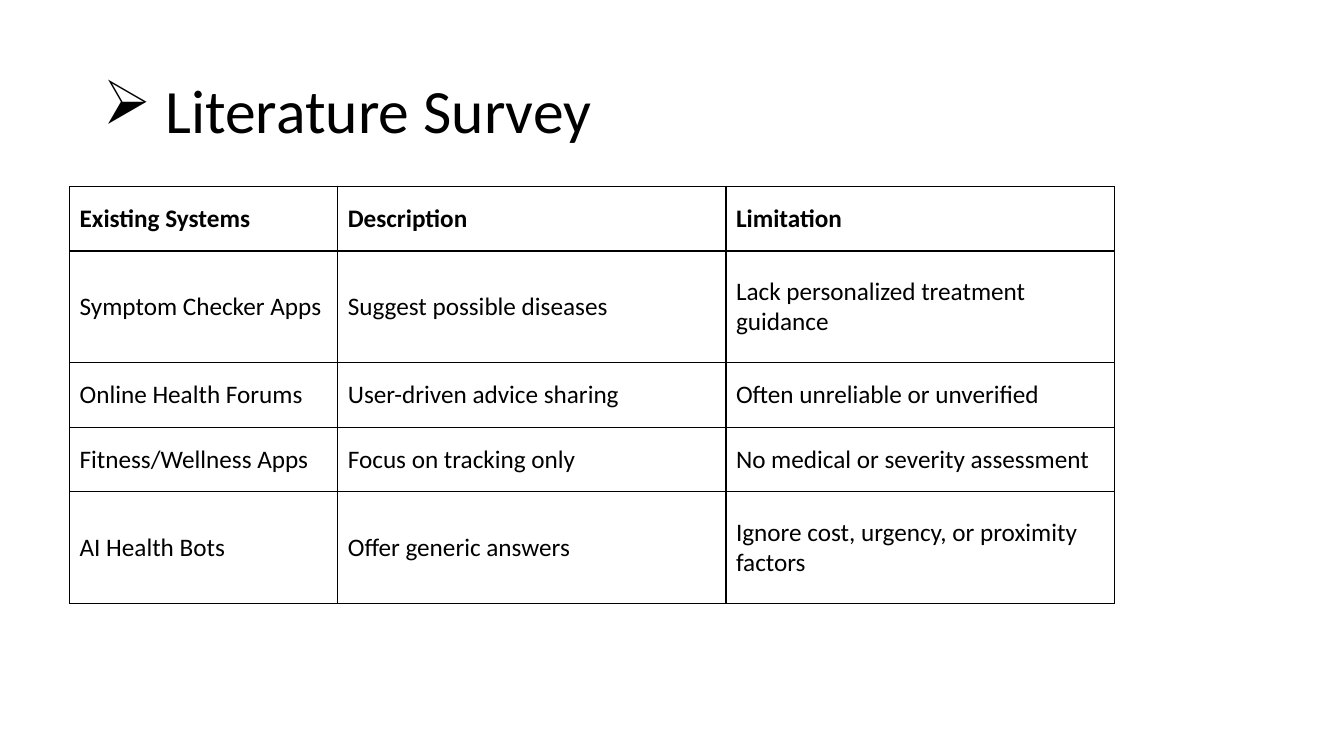
import pptx
import pptx.util
import pptx.dml.color
import pptx.enum.text
import pptx.oxml
import pptx.oxml.ns

Inches, Pt = pptx.util.Inches, pptx.util.Pt
MIDDLE = pptx.enum.text.MSO_ANCHOR.MIDDLE
LEFT = pptx.enum.text.PP_ALIGN.LEFT
BLACK = pptx.dml.color.RGBColor(0, 0, 0)

# Content
TITLE = "Literature Survey"
ROWS = [
    ("Existing Systems", "Description", "Limitation"),
    ("Symptom Checker Apps", "Suggest possible diseases", "Lack personalized treatment guidance"),
    ("Online Health Forums", "User-driven advice sharing", "Often unreliable or unverified"),
    ("Fitness/Wellness Apps", "Focus on tracking only", "No medical or severity assessment"),
    ("AI Health Bots", "Offer generic answers", "Ignore cost, urgency, or proximity factors"),
]
COL_WIDTHS = [2.66, 3.85, 3.85]
ROW_HEIGHTS = [0.64, 1.11, 0.64, 0.64, 1.11]
TITLE_FORMAT = {"name": "Calibri", "size": Pt(44), "bold": False}
CELL_FORMAT = {"name": "Calibri", "size": Pt(18)}


def write(tf, text, **fmt):
    """Put one left-aligned black paragraph in a text frame."""
    p = tf.paragraphs[0]
    p.alignment = LEFT
    r = p.add_run()
    r.text = text
    for key, value in fmt.items():
        setattr(r.font, key, value)
    r.font.color.rgb = BLACK
    return p


def add_borders(cell):
    """Draw a 1 pt line on all four sides of a cell."""
    tcPr = cell._tc.get_or_add_tcPr()
    for i, side in enumerate("LRTB"):
        tcPr.insert(i, pptx.oxml.parse_xml(
            f'<a:ln{side} {pptx.oxml.ns.nsdecls("a")} w="{Pt(1)}"><a:solidFill>'
            f'<a:srgbClr val="{BLACK}"/></a:solidFill></a:ln{side}>'))


prs = pptx.Presentation()
prs.slide_width, prs.slide_height = Inches(13.33), Inches(7.5)
s = prs.slides.add_slide(prs.slide_layouts[5])

# Title with arrow bullet
title = s.shapes.title
title.left, title.top, title.width, title.height = map(Inches, (0.92, 0.4, 11.5, 1.45))
title.text_frame.vertical_anchor = MIDDLE
p = write(title.text_frame, TITLE, **TITLE_FORMAT)
p.line_spacing = 0.9
pPr = p._p.get_or_add_pPr()
pPr.set("marL", str(Inches(0.62)))
pPr.set("indent", str(-Inches(0.62)))
pPr.append(pptx.oxml.parse_xml(f'<a:buChar {pptx.oxml.ns.nsdecls("a")} char="➢"/>'))

# Comparison table
table = s.shapes.add_table(
    len(ROWS), len(COL_WIDTHS), Inches(0.69), Inches(1.85),
    Inches(sum(COL_WIDTHS)), Inches(sum(ROW_HEIGHTS))).table
table.horz_banding = False
for column, width in zip(table.columns, COL_WIDTHS):
    column.width = Inches(width)
for i, (row, height, texts) in enumerate(zip(table.rows, ROW_HEIGHTS, ROWS)):
    row.height = Inches(height)
    for cell, text in zip(row.cells, texts):
        cell.vertical_anchor = MIDDLE
        cell.fill.background()
        write(cell.text_frame, text, bold=i == 0, **CELL_FORMAT)
        add_borders(cell)

prs.save("out.pptx")
